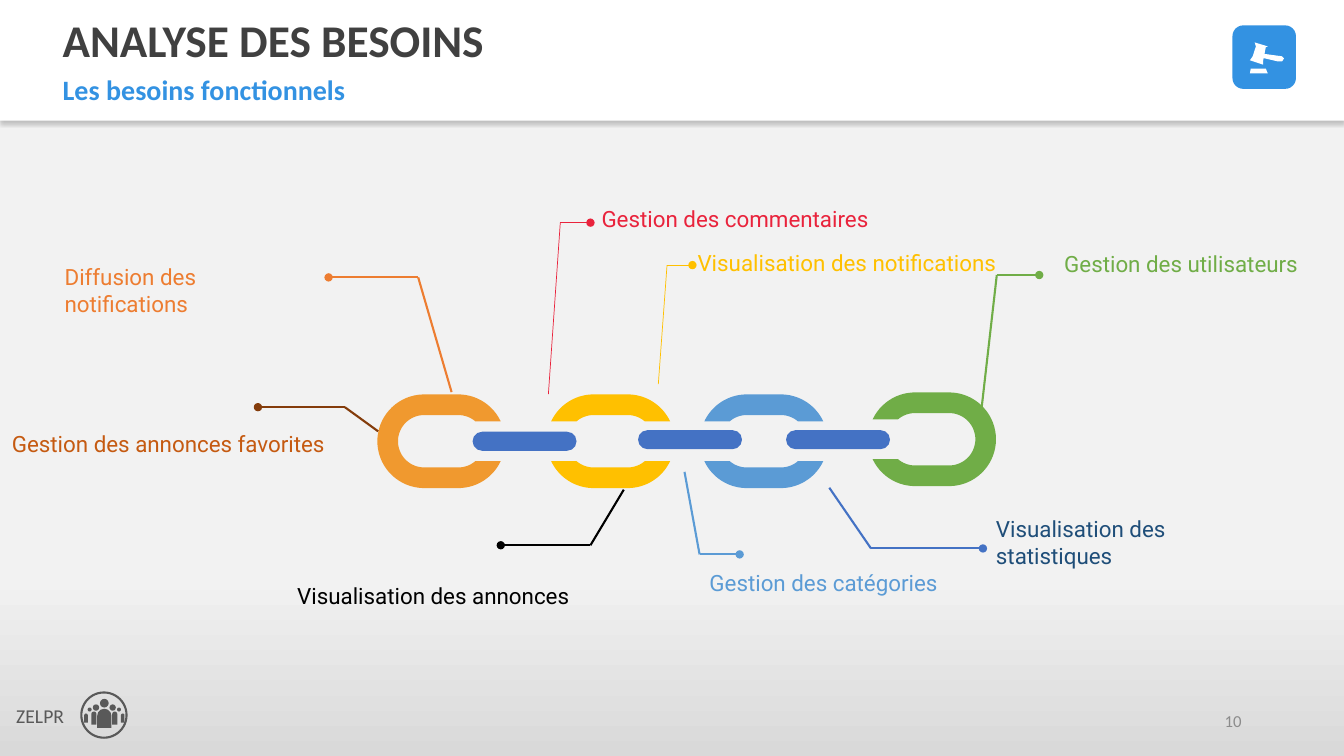
from math import asin, cos, degrees, radians, sin

from lxml.etree import SubElement
from pptx import Presentation
from pptx.dml.color import RGBColor
from pptx.enum.shapes import MSO_CONNECTOR, MSO_SHAPE
from pptx.enum.text import MSO_ANCHOR, PP_ALIGN
from pptx.oxml.ns import qn
from pptx.util import Cm, Pt

BLUE, GREY, WHITE = "3392E2", "595959", "FFFFFF"
BAR = "4472C4"

# text, colour, (left, top, width), line colour, line width, line points
CALLS = [
    ("Gestion des utilisateurs", "70AD47", (26.82, 6.3, 6.45),
     "70AD47", 1.5, [(24.74, 10.26), (25.12, 6.93), (26.19, 6.93)]),
    ("Visualisation des annonces", "000000", (7.49, 14.68, 7.44),
     "000000", 1.5, [(15.72, 12.34), (14.88, 13.74), (12.62, 13.74)]),
    ("Gestion des commentaires", "E9233C", (15.16, 5.18, 8.99),
     "E9233C", 0.5, [(13.82, 9.93), (14.12, 5.61), (14.88, 5.61)]),
    ("Diffusion des notifications", "ED7D31", (1.63, 6.63, 6.45),
     "ED7D31", 1.5, [(11.38, 9.88), (10.54, 6.99), (8.28, 6.99)]),
    ("Visualisation des statistiques", "1F4E79", (25.1, 12.98, 7.29),
     BAR, 1.5, [(20.9, 12.29), (21.95, 13.82), (24.77, 13.82)]),
    ("Gestion des annonces favorites", "C55A11", (0.3, 10.85, 9.42),
     "843C0B", 1.5, [(9.53, 10.87), (8.69, 10.26), (6.5, 10.26)]),
    ("Gestion des catégories", "5B9BD5", (17.88, 14.33, 6.45),
     "5B9BD5", 1.5, [(17.25, 11.89), (17.63, 13.97), (18.64, 13.97)]),
    ("Visualisation des notifications", "FFC000", (17.58, 6.27, 8.99),
     "FFC000", 0.5, [(16.59, 9.68), (16.81, 6.68), (17.45, 6.68)]),
]

# left arc centre, middle height, colour, angle ranges of the pieces
LINKS = [
    (10.69, 11.12, "F0992F", [(0, 360)]),
    (14.96, 11.12, "FFC000", [(0, 180), (180, 360)]),
    (18.82, 11.12, "5B9BD5", [(0, 180), (180, 360)]),
    (23.06, 11.07, "70AD47", [(-180, 180)]),
]
BARS = [(11.91, 10.88), (16.08, 10.84), (19.81, 10.84)]

GAVEL = [
    [(31.83, 1.63), (31.5, 1.52), (31.57, 1.42), (31.65, 1.17),
     (31.62, 1.07), (31.95, 1.17), (31.9, 1.19), (31.83, 1.55)],
    [(31.8, 1.35), (32.31, 1.42), (32.36, 1.47), (32.31, 1.55),
     (32.21, 1.55), (31.78, 1.45)],
    [(31.5, 1.85), (31.95, 1.85), (31.9, 1.73), (31.52, 1.73)],
]

# side offsets, head height, head radius, body width, body top, body height
CROWD = [
    ([0], 17.72, 0.11, 0.36, 17.86, 0.48),
    ([-0.21, 0.21], 17.83, 0.08, 0.13, 17.93, 0.33),
    ([-0.37, 0.37], 17.88, 0.05, 0.09, 17.98, 0.23),
]


def rgb(code):
    return RGBColor.from_string(code)


def arc(x, y, r, low, high, span=0.86, steps=60):
    """Points along a stadium whose two arc centres lie span apart."""
    pts = []
    for i in range(steps + 1):
        a = radians(low + (high - low) * i / steps)
        mid = x + span if cos(a) > 0 else x
        pts.append((mid + r * cos(a), y - r * sin(a)))
    return pts


def link(x, y, parts, outer=1.18, inner=0.66, cut=0.5):
    """Outlines of a chain link, cut off around its middle height."""
    a, b = (degrees(asin(cut / r)) for r in (outer, inner))
    return [arc(x, y, outer, low + a, high - a)
            + arc(x, y, inner, high - b, low + b) for low, high in parts]


class Deck:
    def __init__(self):
        self.prs = Presentation()
        self.prs.slide_width, self.prs.slide_height = Cm(33.87), Cm(19.05)
        self.slide = self.prs.slides.add_slide(self.prs.slide_layouts[6])
        self.shapes = self.slide.shapes

    def back(self, *stops):
        fill = self.slide.background.fill
        fill.gradient()
        fill.gradient_angle = 270
        for stop, (pos, color) in zip(fill.gradient_stops, stops):
            stop.position, stop.color.rgb = pos, rgb(color)

    def paint(self, shape, fill=None, line=None, width=1.5):
        shape.shadow.inherit = False
        if fill:
            shape.fill.solid()
            shape.fill.fore_color.rgb = rgb(fill)
        else:
            shape.fill.background()
        if line:
            shape.line.color.rgb = rgb(line)
            shape.line.width = Pt(width)
        else:
            shape.line.fill.background()
        return shape

    def shape(self, kind, x, y, w, h, round_by=None, **style):
        item = self.shapes.add_shape(kind, Cm(x), Cm(y), Cm(w), Cm(h))
        if round_by is not None:
            item.adjustments[0] = round_by
        return self.paint(item, **style)

    def shade(self, shape):
        """Cast a soft shadow downwards."""
        effects = shape.fill._xPr.find(qn("a:effectLst"))
        outer = SubElement(effects, qn("a:outerShdw"), blurRad="38100",
                           dist="25400", dir="5400000", rotWithShape="0")
        tint = SubElement(outer, qn("a:srgbClr"), val="000000")
        SubElement(tint, qn("a:alpha"), val="20000")

    def outline(self, rings, fill):
        rings = [[(Cm(x), Cm(y)) for x, y in ring] for ring in rings]
        form = self.shapes.build_freeform(*rings[0][0])
        form.add_line_segments(rings[0][1:])
        for ring in rings[1:]:
            form.move_to(*ring[0])
            form.add_line_segments(ring[1:])
        return self.paint(form.convert_to_shape(), fill=fill)

    def line(self, start, end, color, width, dot=False):
        item = self.shapes.add_connector(
            MSO_CONNECTOR.STRAIGHT, *(Cm(v) for v in start + end))
        item.line.color.rgb = rgb(color)
        item.line.width = Pt(width)
        if dot:
            SubElement(item.line._get_or_add_ln(), qn("a:tailEnd"), type="oval")
        SubElement(item._element.spPr, qn("a:effectLst"))

    def text(self, words, x, y, w, h, size=16, color=GREY, font="Calibri",
             bold=False, align=PP_ALIGN.LEFT, anchor=MSO_ANCHOR.TOP, space=1.0):
        frame = self.shapes.add_textbox(Cm(x), Cm(y), Cm(w), Cm(h)).text_frame
        frame.word_wrap = True
        frame.vertical_anchor = anchor
        frame.margin_left = frame.margin_right = 0
        frame.margin_top = frame.margin_bottom = 0
        para = frame.paragraphs[0]
        para.alignment, para.line_spacing = align, space
        run = para.add_run()
        run.text = words
        run.font.name, run.font.size = font, Pt(size)
        run.font.bold, run.font.color.rgb = bold, rgb(color)


def main():
    deck = Deck()
    deck.back((0.76, "F2F2F2"), (1, "D9D9D9"))
    deck.shade(deck.shape(MSO_SHAPE.RECTANGLE, 0, -0.03, 33.87, 3.07, fill=WHITE))

    deck.shape(MSO_SHAPE.OVAL, 2.05, 17.45, 1.14, 1.14, line=GREY)
    deck.text("ZELPR", 0.41, 17.73, 1.6, 0.6, size=14)
    for sides, y, r, w, top, h in CROWD:
        for side in sides:
            x = 2.63 + side
            deck.shape(MSO_SHAPE.OVAL, x - r, y - r, 2 * r, 2 * r, fill=GREY)
            deck.shape(MSO_SHAPE.ROUND_2_SAME_RECTANGLE, x * 1.0 + side / 4 - w / 2,
                       top, w, h, round_by=0.5, fill=GREY)

    deck.text("ANALYSE DES BESOINS", 1.58, 0.51, 30.68, 1.12, size=32.4,
              color="404040", bold=True, anchor=MSO_ANCHOR.MIDDLE, space=0.9)
    deck.text("Les besoins fonctionnels", 1.58, 1.93, 30.68, 0.76, size=20,
              color=BLUE, bold=True, space=0.9)
    deck.text("10", 24.18, 17.65, 7.11, 1.02, size=12, color="8C8C8C",
              align=PP_ALIGN.RIGHT, anchor=MSO_ANCHOR.MIDDLE)

    for x, y, color, parts in LINKS:
        deck.outline(link(x, y, parts), color)
    for x, y in BARS:
        deck.shape(MSO_SHAPE.ROUNDED_RECTANGLE, x, y, 2.62, 0.48,
                   round_by=0.5, fill=BAR)

    for words, color, (x, y, w), tint, width, (start, bend, end) in CALLS:
        deck.line(start, bend, tint, width)
        deck.line(bend, end, tint, width, dot=True)
        deck.text(words, x, y, w, 0.69, color=color, font="Roboto")

    deck.shape(MSO_SHAPE.ROUNDED_RECTANGLE, 31.06, 0.64, 1.6, 1.6,
               round_by=0.17, fill=BLUE)
    for part in GAVEL:
        deck.outline([part], WHITE)

    deck.prs.save("out.pptx")


if __name__ == "__main__":
    main()
